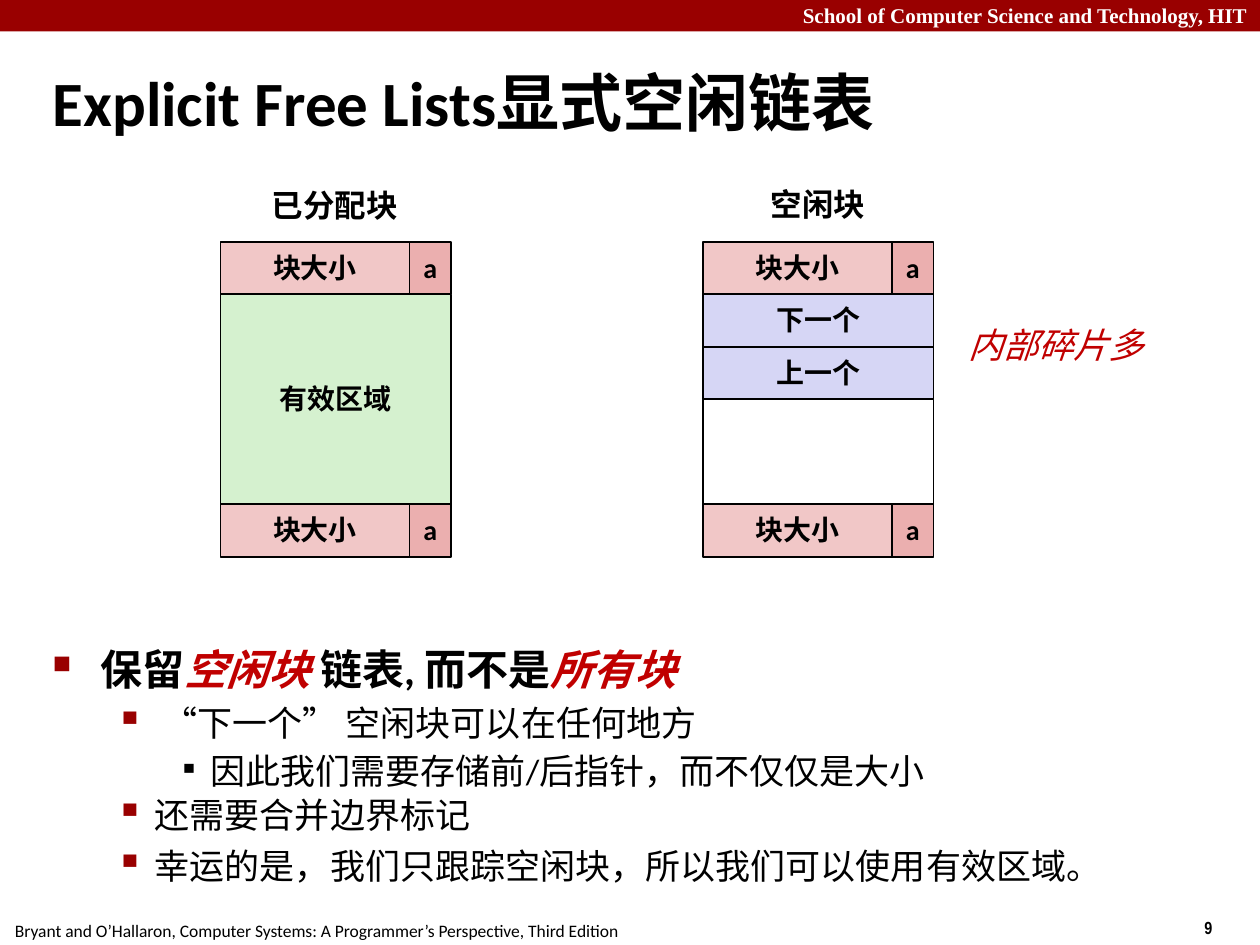
from pptx import Presentation
from pptx.dml.color import RGBColor
from pptx.enum.shapes import MSO_SHAPE
from pptx.enum.text import MSO_ANCHOR, MSO_AUTO_SIZE, PP_ALIGN
from pptx.oxml.ns import qn
from pptx.util import Inches, Pt
from lxml import etree

RECT = MSO_SHAPE.RECTANGLE
MIDDLE, TOP = MSO_ANCHOR.MIDDLE, MSO_ANCHOR.TOP
LEFT, CENTER, RIGHT = PP_ALIGN.LEFT, PP_ALIGN.CENTER, PP_ALIGN.RIGHT
GROW = MSO_AUTO_SIZE.SHAPE_TO_FIT_TEXT

THEME = {
    "font": "Calibri", "header_font": "Times New Roman", "number_font": "Arial Narrow",
    "bar": "990000", "accent": "C00000", "text": "000000", "white": "FFFFFF",
    "size": "F1C7C7", "tag": "EBAFAF", "payload": "D5F1CF", "pointer": "D6D6F5",
    "title_pt": 36, "lead_pt": 24, "body_pt": 20, "caption_pt": 18,
    "cell_pt": 16, "header_pt": 12, "footer_pt": 10,
}

HEADER = "School of Computer Science and Technology, HIT"
FOOTER = "Bryant and O’Hallaron, Computer Systems: A Programmer’s Perspective, Third Edition"
NUMBER = "9"
TITLE = "Explicit Free Lists显式空闲链表"
NOTE = "内部碎片多"

BOUNDARY = ("块大小", 1, "size")
BLOCKS = [
    {"left": 1.75, "caption": "已分配块", "caption_at": (2.06, 1.43, 1.2, 0.4),
     "rows": [BOUNDARY, ("有效区域", 4, "payload"), BOUNDARY]},
    {"left": 5.58, "caption": "空闲块", "caption_at": (6.02, 1.42, 0.95, 0.4),
     "rows": [BOUNDARY, ("下一个", 1, "pointer"), ("上一个", 1, "pointer"),
              ("", 2, "white"), BOUNDARY]},
]
BLOCK_TOP, BLOCK_W, TAG_W, ROW_H = 1.92, 1.83, 0.33, 5 / 12

BULLETS = [
    (0, 0.75, [("保留", False), ("空闲块", True), (" 链表, 而不是", False), ("所有块", True)]),
    (1, 1.0, [(" “下一个” 空闲块可以在任何地方", False)]),
    (2, 0.97, [("因此我们需要存储前/后指针，而不仅仅是大小", False)]),
    (1, 0.8, [("还需要合并边界标记", False)]),
    (1, 1.0, [("幸运的是，我们只跟踪空闲块，所以我们可以使用有效区域。", False)]),
]
LEVELS = [
    {"margin": 0.38, "hang": 0.38, "char": "■", "color": "bar", "pct": 60, "before": 0},
    {"margin": 0.81, "hang": 0.31, "char": "▪", "color": "bar", "pct": 110, "before": 5},
    {"margin": 1.25, "hang": 0.25, "char": "▪", "color": "text", "pct": 80, "before": 5},
]


def rgb(name):
    return RGBColor.from_string(THEME[name])


def style(font, size, color="text", bold=False, italic=False, face="font"):
    font.name = THEME[face]
    font.size = Pt(THEME[size])
    font.color.rgb = rgb(color)
    font.bold, font.italic = bold, italic


def add_text(s, box, text, size, wrap=False, grow=True, anchor=TOP,
             align=LEFT, spacing=None, **look):
    tb = s.shapes.add_textbox(*map(Inches, box))
    tf = tb.text_frame
    tf.word_wrap = wrap
    tf.vertical_anchor = anchor
    if grow:
        tf.auto_size = GROW
    p = tf.paragraphs[0]
    p.text = text
    p.alignment = align
    if spacing:
        p.line_spacing = spacing
    style(p.runs[0].font, size, **look)


def add_rect(s, box, fill, line=True, text=""):
    sp = s.shapes.add_shape(RECT, *map(Inches, box))
    sp.shadow.inherit = False
    sp.fill.solid()
    sp.fill.fore_color.rgb = rgb(fill)
    if line:
        sp.line.color.rgb = rgb("text")
        sp.line.width = Pt(1)
    else:
        sp.line.fill.background()
    if text:
        tf = sp.text_frame
        tf.word_wrap = False
        tf.vertical_anchor = MIDDLE
        p = tf.paragraphs[0]
        p.text = text
        p.alignment = CENTER
        p.line_spacing = 0.98
        style(p.runs[0].font, "cell_pt", bold=True)


def add_block(s, block):
    left, top = block["left"], BLOCK_TOP
    for label, units, fill in block["rows"]:
        height = units * ROW_H
        tagged = fill == "size"
        width = BLOCK_W - TAG_W if tagged else BLOCK_W
        add_rect(s, (left, top, width, height), fill, text=label)
        if tagged:
            add_rect(s, (left + width, top, TAG_W, height), "tag", text="a")
        top += height
    add_text(s, block["caption_at"], block["caption"], "caption_pt", bold=True)


def set_bullet(p, level):
    pPr = p._p.get_or_add_pPr()
    pPr.set("marL", str(Inches(level["margin"])))
    pPr.set("indent", str(-Inches(level["hang"])))
    color = etree.SubElement(pPr, qn("a:buClr"))
    etree.SubElement(color, qn("a:srgbClr"), val=THEME[level["color"]])
    etree.SubElement(pPr, qn("a:buSzPct"), val=str(level["pct"] * 1000))
    etree.SubElement(pPr, qn("a:buChar"), char=level["char"])


def add_bullets(s, box):
    tf = s.shapes.add_textbox(*map(Inches, box)).text_frame
    tf.word_wrap = True
    for i, (depth, spacing, runs) in enumerate(BULLETS):
        p = tf.add_paragraph() if i else tf.paragraphs[0]
        level = LEVELS[depth]
        p.level = depth
        set_bullet(p, level)
        p.line_spacing = spacing
        p.space_before = Pt(level["before"])
        for text, key in runs:
            r = p.add_run()
            r.text = text
            style(r.font, "body_pt" if depth else "lead_pt",
                  "accent" if key else "text", bold=depth == 0, italic=key)


def main():
    prs = Presentation()
    prs.slide_width, prs.slide_height = Inches(10), Inches(7.5)
    s = prs.slides.add_slide(prs.slide_layouts[6])
    add_rect(s, (0, 0, 10, 0.25), "bar", line=False)
    add_text(s, (9.46, 7.23, 0.75, 0.27), NUMBER, "footer_pt", bold=True, face="number_font")
    add_text(s, (0, -0.03, 10, 0.3), HEADER, "header_pt", wrap=True, align=RIGHT,
             color="white", bold=True, face="header_font")
    add_text(s, (0.02, 7.25, 5.01, 0.27), FOOTER, "footer_pt")
    add_text(s, (0.32, 0.53, 7.26, 0.63), TITLE, "title_pt", wrap=True, grow=False,
             anchor=MIDDLE, spacing=0.87, bold=True)
    add_bullets(s, (0.32, 5.15, 9.09, 2.02))
    for block in BLOCKS:
        add_block(s, block)
    add_text(s, (7.59, 2.57, 1.59, 0.39), NOTE, "body_pt", spacing=0.85,
             color="accent", italic=True)
    prs.save("out.pptx")


if __name__ == "__main__":
    main()
